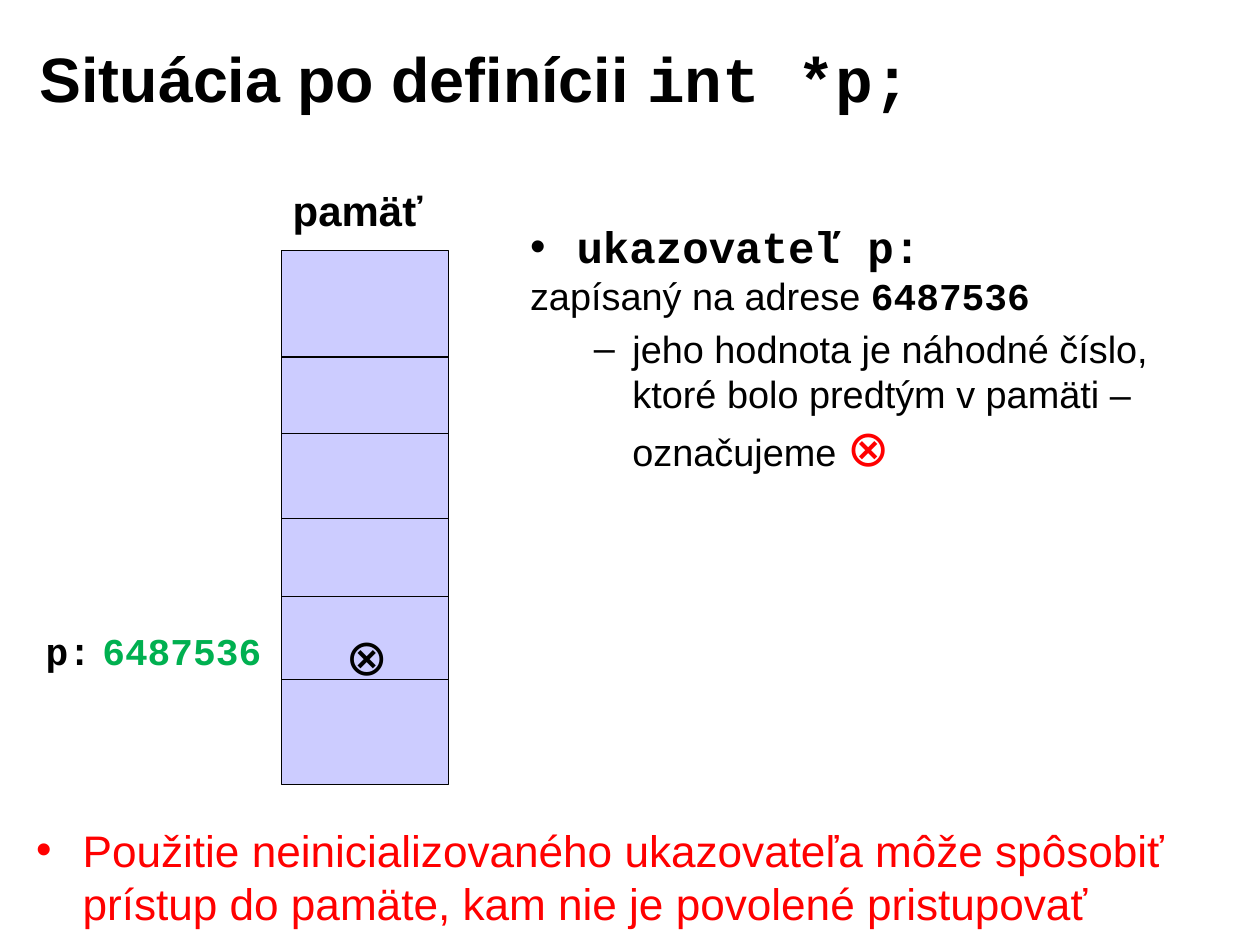
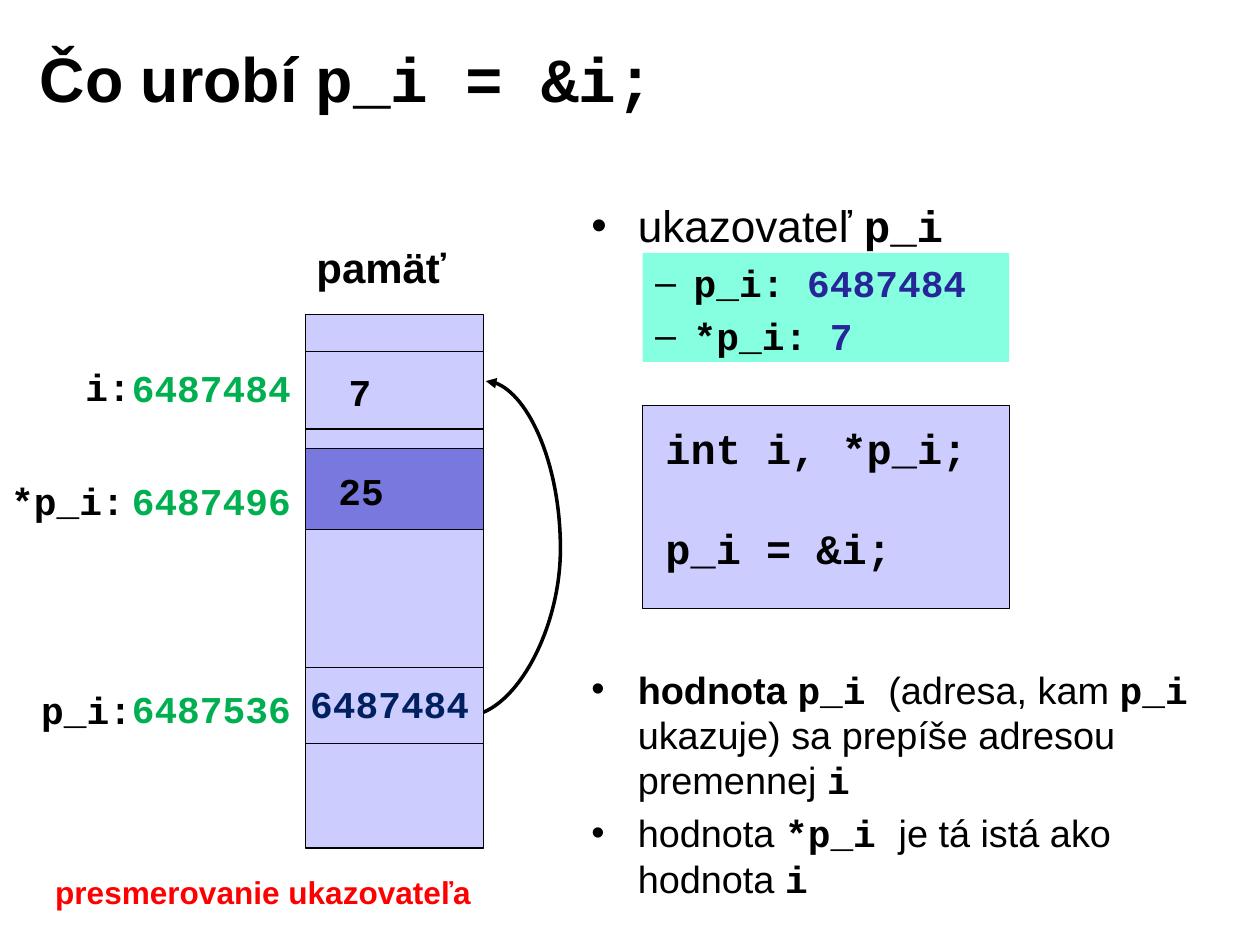
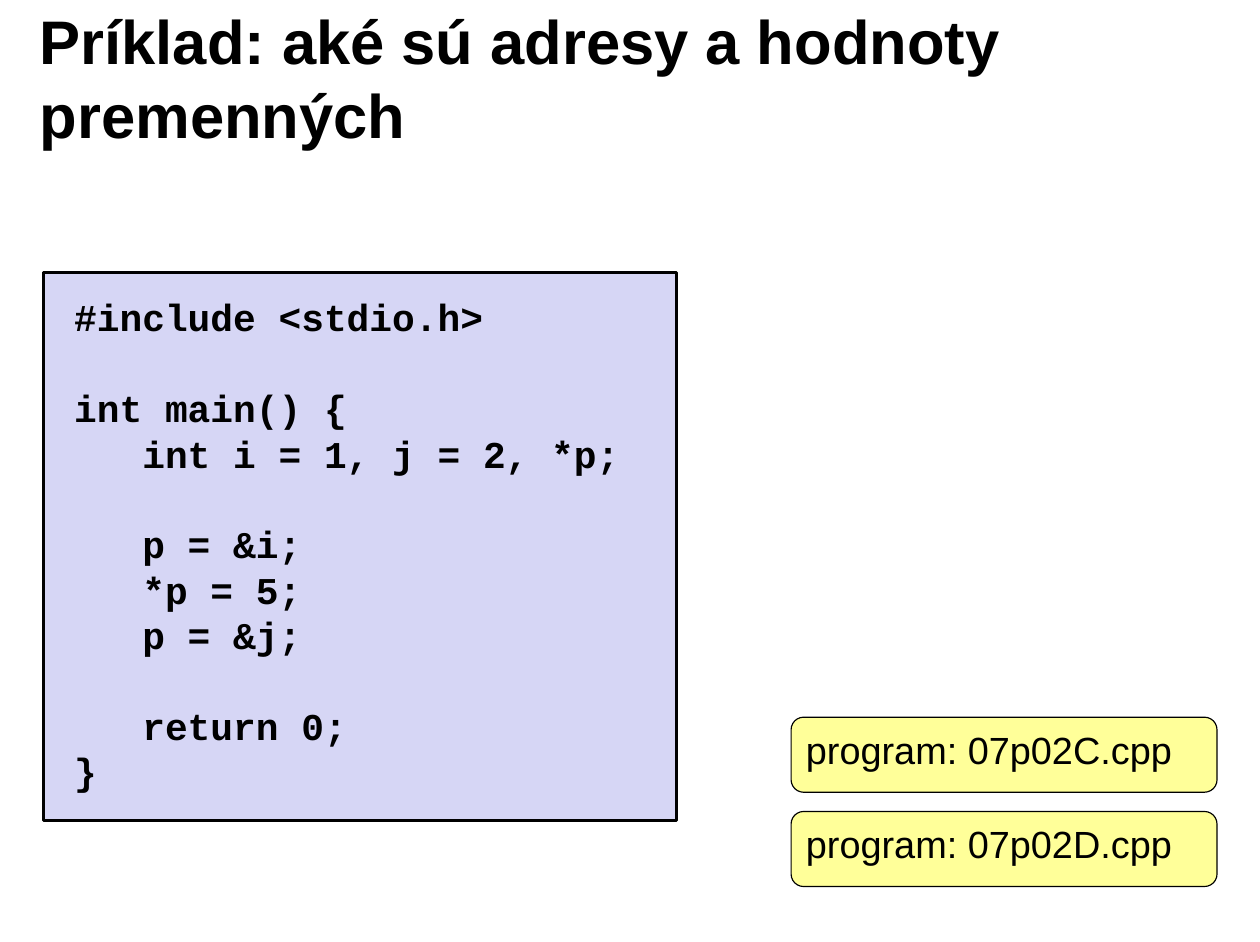
import lxml.etree
import pptx
import pptx.dml.color
import pptx.enum.shapes
import pptx.enum.text
import pptx.oxml.ns
import pptx.util

Cm = pptx.util.Cm
Pt = pptx.util.Pt
RGBColor = pptx.dml.color.RGBColor
Shape = pptx.enum.shapes.MSO_SHAPE
Connector = pptx.enum.shapes.MSO_CONNECTOR
Align = pptx.enum.text.PP_ALIGN
Anchor = pptx.enum.text.MSO_ANCHOR
qn = pptx.oxml.ns.qn

BLACK = RGBColor(0x00, 0x00, 0x00)
RED = RGBColor(0xFF, 0x00, 0x00)
GREEN = RGBColor(0x00, 0xB0, 0x50)
NAVY = RGBColor(0x00, 0x20, 0x60)
INDIGO = RGBColor(0x26, 0x26, 0x99)
LAVENDER = RGBColor(0xCC, 0xCC, 0xFF)
PALE_LAVENDER = RGBColor(0xD6, 0xD6, 0xF5)
VIOLET = RGBColor(0x78, 0x78, 0xDE)
MINT = RGBColor(0x85, 0xFF, 0xE0)
YELLOW = RGBColor(0xFF, 0xFF, 0x99)

INSETS = (0.25, 0.13)
TITLE_BOX = (0.64, 0.43, 22.63, 2.59)
MONO_LINE = 1.2
BULLETS = {1: ("•", 1.04, -1.04), 2: ("–", 2.29, -0.86)}


def sans(text, size=24, color=BLACK, bold=False):
    return text, "Arial", size, color, bold


def mono(text, size=24, color=BLACK):
    return text, "Courier New", size, color, True


def crossed(color):
    return "⊗", "Roboto", 32, color, False


DEFINITION = {
    "title": [sans("Situácia po definícii ", 39.8, bold=True), mono("int *p;", 39.8)],
    "column": (6.3, 5.61, 3.73, 11.94),
    "caption_top": 4.01,
    "dividers": [7.99, 9.7, 11.61, 13.35, 15.2],
    "labels": [(2.04, 13.91, "6487536", GREEN), (0.77, 13.91, "p:", BLACK)],
    "value_box": (6.12, 13.85, 4.17, 1.65),
    "notes_box": (11.61, 4.78, 15.65, 11.9),
    "notes": [
        (1, 0, [mono("ukazovateľ p:", 28)]),
        (0, 0, [sans("zapísaný na adrese "), mono("6487536")]),
        (2, 4.8, [sans("jeho hodnota je náhodné číslo, ktoré bolo predtým v pamäti – označujeme "),
                  crossed(RED)]),
    ],
    "warning_box": (0.56, 18.29, 27.08, 2.59),
    "warning": [(1, 0, [sans("Použitie neinicializovaného ukazovateľa môže spôsobiť prístup "
                             "do pamäte, kam nie je povolené pristupovať", 28, RED)])],
}

REDIRECTION = {
    "title": [sans("Čo urobí ", 39.8, bold=True), mono("p_i = &i;", 39.8)],
    "column": (6.83, 7.04, 3.99, 11.94),
    "caption_top": 5.28,
    "dividers": [7.86, 9.6, 14.94, 16.63],
    "labels": [
        (1.66, 8.0, "i:", BLACK), (2.7, 8.02, "6487484", GREEN), (7.55, 8.12, "7", BLACK),
        (0, 10.56, "*p_i:", BLACK), (2.7, 10.56, "6487496", GREEN), (7.32, 10.33, "25", BLACK),
        (0.67, 15.23, "p_i:", BLACK), (2.7, 15.21, "6487536", GREEN), (6.69, 15.1, "6487484", NAVY),
    ],
    "old_target": (6.83, 10.03, 3.99, 1.83),
    "arrow": ((10.41, 16.03), (10.87, 8.53)),
    "arrow_bulge": 2.13,
    "highlight": (14.38, 5.66, 8.2, 2.44),
    "pointer_box": (12.98, 4.32, 10.44, 4.2),
    "pointer": [
        (1, 0, [sans("ukazovateľ ", 28), mono("p_i", 28)]),
        (2, 4.8, [mono("p_i: "), mono("6487484", color=INDIGO)]),
        (2, 4.8, [mono("*p_i: "), mono("7", color=INDIGO)]),
    ],
    "code_box": (14.38, 9.07, 8.2, 4.55),
    "code": ["int i, *p_i;", "", "p_i = &i;"],
    "notes_box": (12.98, 14.78, 14.55, 5.82),
    "notes": [
        (1, 0, [sans("hodnota ", bold=True), mono("p_i "), sans("(adresa, kam "), mono("p_i"),
                sans(" ukazuje) sa prepíše adresou premennej "), mono("i")]),
        (1, 4.8, [sans("hodnota "), mono("*p_i "), sans("je tá istá ako hodnota "), mono("i")]),
    ],
    "summary_box": (0.39, 19.41, 11, 1.12),
    "summary": [(0, 0, [sans("presmerovanie ukazovateľa", 20, RED, True)])],
}

EXAMPLE = {
    "title": [sans("Príklad: aké sú adresy a hodnoty premenných", 39, bold=True)],
    "code_box": (0.97, 6.1, 14.17, 12.27),
    "code": ["#include <stdio.h>", "", "int main() {", "   int i = 1, j = 2, *p;", "",
             "   p = &i;", "   *p = 5;", "   p = &j;", "", "   return 0;", "}"],
    "programs": ["program: 07p02C.cpp", "program: 07p02D.cpp"],
    "program_box": (17.7, 16.05, 9.53, 1.68),
    "program_step": 2.11,
}


def lengths(values):
    return [Cm(value) for value in values]


def fill_text(frame, paragraphs, align=Align.LEFT, anchor=Anchor.TOP, insets=INSETS):
    frame.word_wrap = True
    frame.vertical_anchor = anchor
    frame.margin_left, frame.margin_top = lengths(insets)
    frame.margin_right, frame.margin_bottom = lengths(INSETS)
    for index, (level, before, runs) in enumerate(paragraphs):
        paragraph = frame.paragraphs[0] if index == 0 else frame.add_paragraph()
        paragraph.alignment = align
        if before:
            paragraph.space_before = Pt(before)
        if level:
            mark, margin, indent = BULLETS[level]
            properties = paragraph._p.get_or_add_pPr()
            properties.set("marL", str(Cm(margin)))
            properties.set("indent", str(Cm(indent)))
            lxml.etree.SubElement(properties, qn("a:buFont"), typeface="Arial")
            lxml.etree.SubElement(properties, qn("a:buChar"), char=mark)
        for text, font, size, color, bold in runs:
            run = paragraph.add_run()
            run.text = text
            run.font.name = font
            run.font.size = Pt(size)
            run.font.bold = bold
            run.font.color.rgb = color


def add_text(slide, box, paragraphs, **options):
    fill_text(slide.shapes.add_textbox(*lengths(box)).text_frame, paragraphs, **options)


def add_box(slide, box, fill, line_width=0.75, preset=Shape.RECTANGLE):
    shape = slide.shapes.add_shape(preset, *lengths(box))
    shape.shadow.inherit = False
    shape.fill.solid()
    shape.fill.fore_color.rgb = fill
    if line_width:
        shape.line.color.rgb = BLACK
        shape.line.width = Pt(line_width)
    else:
        shape.line.fill.background()
    return shape


def add_line(slide, start, end, width=0.75, kind=Connector.STRAIGHT):
    line = slide.shapes.add_connector(kind, *lengths(start + end))
    line.line.color.rgb = BLACK
    line.line.width = Pt(width)
    lxml.etree.SubElement(line.element.spPr, qn("a:effectLst"))
    return line


def add_curved_arrow(slide, start, end, bulge):
    arrow = add_line(slide, start, end, 2.25, Connector.CURVE)
    ratio = round(bulge / (end[0] - start[0]) * 100000)
    guides = arrow.element.spPr.find(qn("a:prstGeom")).get_or_add_avLst()
    lxml.etree.SubElement(guides, qn("a:gd"), name="adj1", fmla=f"val {ratio}")
    lxml.etree.SubElement(arrow.element.spPr.find(qn("a:ln")), qn("a:tailEnd"), type="triangle")


def add_code(slide, box, lines, size, fill, line_width, insets):
    paragraphs = []
    before = 0
    for line in lines:
        if line:
            paragraphs.append((0, before, [mono(line, size)]))
            before = 0
        else:
            before += size * MONO_LINE
    fill_text(add_box(slide, box, fill, line_width).text_frame, paragraphs, insets=insets)


def add_memory(slide, content):
    left, top, width, height = content["column"]
    add_box(slide, content["column"], LAVENDER)
    if "old_target" in content:
        add_box(slide, content["old_target"], VIOLET)
    for y in content["dividers"]:
        add_line(slide, (left, y), (left + width, y))
    add_text(slide, (left, content["caption_top"], width, 1.42),
             [(0, 0, [sans("pamäť", 26.6, bold=True)])])
    for x, y, text, color in content["labels"]:
        add_text(slide, (x, y, 0.6 + 0.51 * len(text), 1.32), [(0, 0, [mono(text, color=color)])])


def start_slide(deck, content):
    slide = deck.slides.add_slide(deck.slide_layouts[6])
    add_text(slide, TITLE_BOX, [(0, 0, content["title"])], anchor=Anchor.MIDDLE)
    return slide


def build_definition(deck, content):
    slide = start_slide(deck, content)
    add_memory(slide, content)
    add_text(slide, content["value_box"], [(0, 0, [crossed(BLACK)])], align=Align.CENTER)
    add_text(slide, content["notes_box"], content["notes"])
    add_text(slide, content["warning_box"], content["warning"])


def build_redirection(deck, content):
    slide = start_slide(deck, content)
    add_box(slide, content["highlight"], MINT, 0)
    add_curved_arrow(slide, *content["arrow"], content["arrow_bulge"])
    add_memory(slide, content)
    add_code(slide, content["code_box"], content["code"], 26.6, LAVENDER, 0.75, (0.51, 0.38))
    add_text(slide, content["pointer_box"], content["pointer"])
    add_text(slide, content["notes_box"], content["notes"])
    add_text(slide, content["summary_box"], content["summary"], align=Align.CENTER)


def build_example(deck, content):
    slide = start_slide(deck, content)
    add_code(slide, content["code_box"], content["code"], 24, PALE_LAVENDER, 2, (0.69, 0.48))
    left, top, width, height = content["program_box"]
    for index, program in enumerate(content["programs"]):
        box = (left, top + index * content["program_step"], width, height)
        badge = add_box(slide, box, YELLOW, preset=Shape.ROUNDED_RECTANGLE)
        fill_text(badge.text_frame, [(0, 0, [sans(program)])])


def main():
    deck = pptx.Presentation()
    deck.slide_width, deck.slide_height = Cm(28.19), Cm(21.08)
    build_definition(deck, DEFINITION)
    build_redirection(deck, REDIRECTION)
    build_example(deck, EXAMPLE)
    deck.save("out.pptx")


if __name__ == "__main__":
    main()
